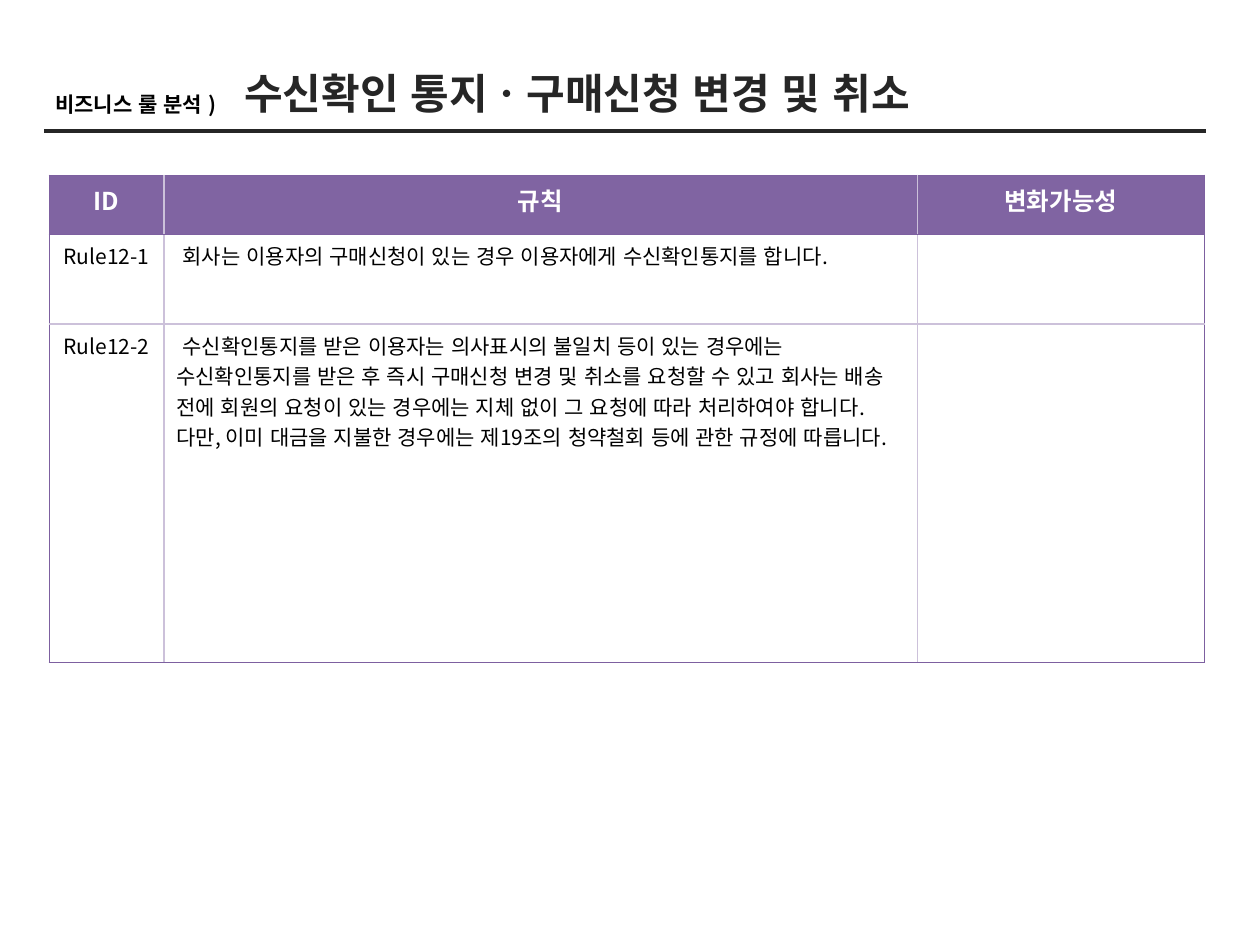
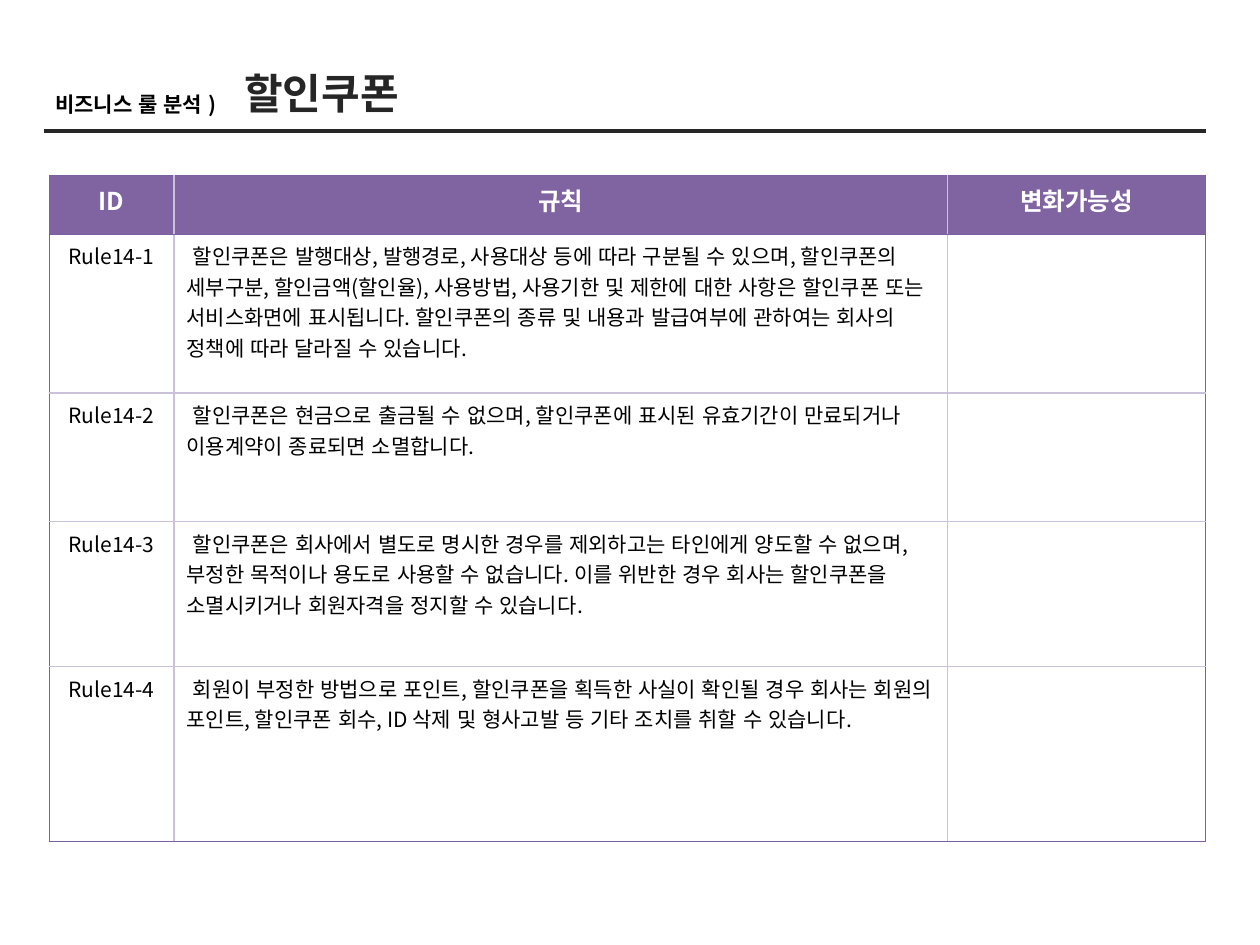
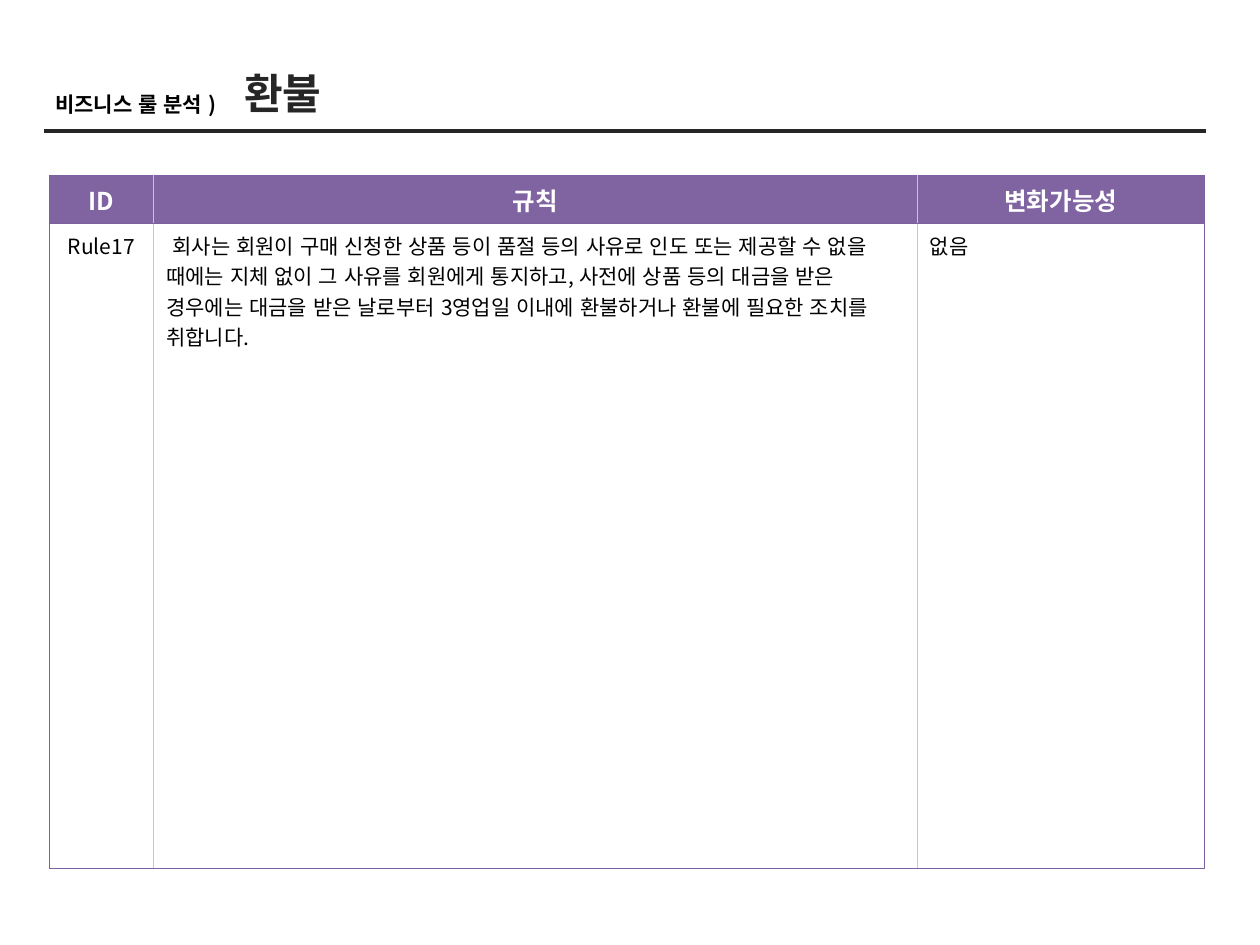
from lxml import etree
from pptx import Presentation
from pptx import util as u
from pptx.dml.color import RGBColor
from pptx.enum import lang, shapes, text
from pptx.oxml.ns import qn

BODY_FONT = "Noto Sans CJK KR"
TITLE_FONT = "Arial"
PURPLE, FRAME, DIVIDER = "8064A2", "7D60A0", "CCC1DA"
INK, BLACK, WHITE = "262626", "000000", "FFFFFF"

SECTION = "비즈니스 룰 분석 )"
HEADINGS = ("ID", "규칙", "변화가능성")
TABLE_LEFT, TABLE_TOP = 0.39, 1.39

RULE_SLIDES = [
    {
        "title": "수신확인 통지ㆍ구매신청 변경 및 취소",
        "title_width": 6.06,
        "columns": (0.91, 5.98, 2.28),
        "rows": (0.47, 0.71, 2.69),
        "rules": [
            ("Rule12-1", "회사는 이용자의 구매신청이 있는 경우 이용자에게 수신확인통지를 합니다.", ""),
            ("Rule12-2", "수신확인통지를 받은 이용자는 의사표시의 불일치 등이 있는 경우에는 "
             "수신확인통지를 받은 후 즉시 구매신청 변경 및 취소를 요청할 수 있고 회사는 배송 "
             "전에 회원의 요청이 있는 경우에는 지체 없이 그 요청에 따라 처리하여야 합니다. "
             "다만, 이미 대금을 지불한 경우에는 제19조의 청약철회 등에 관한 규정에 따릅니다.", ""),
        ],
    },
    {
        "title": "할인쿠폰",
        "title_width": 1.55,
        "columns": (0.99, 6.14, 2.05),
        "rows": (0.47, 1.26, 1.02, 1.15, 1.39),
        "rules": [
            ("Rule14-1", "할인쿠폰은 발행대상, 발행경로, 사용대상 등에 따라 구분될 수 있으며, 할인쿠폰의 "
             "세부구분, 할인금액(할인율), 사용방법, 사용기한 및 제한에 대한 사항은 할인쿠폰 "
             "또는 서비스화면에 표시됩니다. 할인쿠폰의 종류 및 내용과 발급여부에 관하여는 "
             "회사의 정책에 따라 달라질 수 있습니다.", ""),
            ("Rule14-2", "할인쿠폰은 현금으로 출금될 수 없으며, 할인쿠폰에 표시된 유효기간이 만료되거나 "
             "이용계약이 종료되면 소멸합니다.", ""),
            ("Rule14-3", "할인쿠폰은 회사에서 별도로 명시한 경우를 제외하고는 타인에게 양도할 수 없으며, "
             "부정한 목적이나 용도로 사용할 수 없습니다. 이를 위반한 경우 회사는 할인쿠폰을 "
             "소멸시키거나 회원자격을 정지할 수 있습니다.", ""),
            ("Rule14-4", "회원이 부정한 방법으로 포인트, 할인쿠폰을 획득한 사실이 확인될 경우 회사는 "
             "회원의 포인트, 할인쿠폰 회수, ID 삭제 및 형사고발 등 기타 조치를 취할 수 있습니다.", ""),
        ],
    },
    {
        "title": "환불",
        "title_width": 0.88,
        "columns": (0.83, 6.06, 2.28),
        "rows": (0.31, 5.12),
        "rules": [
            ("Rule17", "회사는 회원이 구매 신청한 상품 등이 품절 등의 사유로 인도 또는 제공할 수 없을 "
             "때에는 지체 없이 그 사유를 회원에게 통지하고, 사전에 상품 등의 대금을 받은 "
             "경우에는 대금을 받은 날로부터 3영업일 이내에 환불하거나 환불에 필요한 조치를 "
             "취합니다.", "없음"),
        ],
    },
]


def color(value):
    """Turn a hex string into a colour."""
    return RGBColor.from_string(value)


def add_run(paragraph, words, size, ink, bold=False, font_name=BODY_FONT):
    """Add one Korean run to a paragraph."""
    run = paragraph.add_run()
    run.text = words
    font = run.font
    font.size, font.bold, font.name = u.Pt(size), bold, font_name
    font.color.rgb = color(ink)
    font.language_id = lang.MSO_LANGUAGE_ID.KOREAN
    latin = run._r.rPr.find(qn("a:latin"))
    east_asian = etree.Element(qn("a:ea"), typeface=BODY_FONT)
    latin.addnext(east_asian)


def add_label(slide, box, words, size, ink, font_name=BODY_FONT):
    """Place a bold one-line label that does not wrap."""
    frame = slide.shapes.add_textbox(*map(u.Inches, box)).text_frame
    frame.word_wrap = False
    frame.auto_size = text.MSO_AUTO_SIZE.SHAPE_TO_FIT_TEXT
    add_run(frame.paragraphs[0], words, size, ink, True, font_name)


def add_header(slide, title, title_width):
    """Draw the section label, the title and the line below them."""
    line = slide.shapes.add_connector(
        shapes.MSO_CONNECTOR.STRAIGHT, *map(u.Inches, (0.35, 1.04, 9.57, 1.04)))
    line.line.color.rgb = color(INK)
    line.line.width = u.Pt(2.25)
    etree.SubElement(line._element.spPr, qn("a:effectLst"))
    add_label(slide, (0.34, 0.68, 1.62, 0.3), SECTION, 12, BLACK)
    add_label(slide, (1.84, 0.49, title_width, 0.5), title, 24, INK, TITLE_FONT)


def set_borders(cell, framed_sides):
    """Draw frame lines on the given sides and dividers on the others."""
    properties = cell._tc.get_or_add_tcPr()
    for side in "LRTB":
        framed = side in framed_sides
        width = u.Pt(0.75 if framed else 1)
        border = etree.SubElement(properties, qn(f"a:ln{side}"), w=str(width))
        fill = etree.SubElement(border, qn("a:solidFill"))
        etree.SubElement(fill, qn("a:srgbClr"), val=FRAME if framed else DIVIDER)


def fill_cell(cell, words, row, column, last_row):
    """Style one table cell by its place in the grid."""
    is_heading = row == 0
    on_frame = {"L": column == 0, "R": column == len(HEADINGS) - 1,
                "T": row <= 1, "B": row in (0, last_row)}
    set_borders(cell, {side for side, framed in on_frame.items() if framed})
    if is_heading:
        cell.fill.solid()
        cell.fill.fore_color.rgb = color(PURPLE)
    else:
        cell.fill.background()
    paragraph = cell.text_frame.paragraphs[0]
    if is_heading or column == 0:
        paragraph.alignment = text.PP_ALIGN.CENTER
    elif column == 1:
        paragraph._p.get_or_add_pPr().set("indent", str(u.Inches(0.05)))
    if words:
        add_run(paragraph, words, 14 if is_heading else 12,
                WHITE if is_heading else BLACK, is_heading)


def add_rule_table(slide, left, top, columns, rows, rules):
    """Build the table of rules under its heading row."""
    table = slide.shapes.add_table(
        len(rows), len(columns),
        *map(u.Inches, (left, top, sum(columns), sum(rows)))).table
    table.horz_banding = False
    for column, width in zip(table.columns, columns):
        column.width = u.Inches(width)
    for row, height in zip(table.rows, rows):
        row.height = u.Inches(height)
    for row, entries in enumerate([HEADINGS, *rules]):
        for column, words in enumerate(entries):
            fill_cell(table.cell(row, column), words, row, column, len(rules))


def add_rule_slide(presentation, title, title_width, columns, rows, rules):
    """Add one slide of business rules."""
    slide = presentation.slides.add_slide(presentation.slide_layouts[6])
    add_rule_table(slide, TABLE_LEFT, TABLE_TOP, columns, rows, rules)
    add_header(slide, title, title_width)


def main():
    """Build and save the presentation."""
    presentation = Presentation()
    presentation.slide_width, presentation.slide_height = u.Inches(10), u.Inches(7.5)
    for content in RULE_SLIDES:
        add_rule_slide(presentation, **content)
    presentation.save("out.pptx")


if __name__ == "__main__":
    main()
